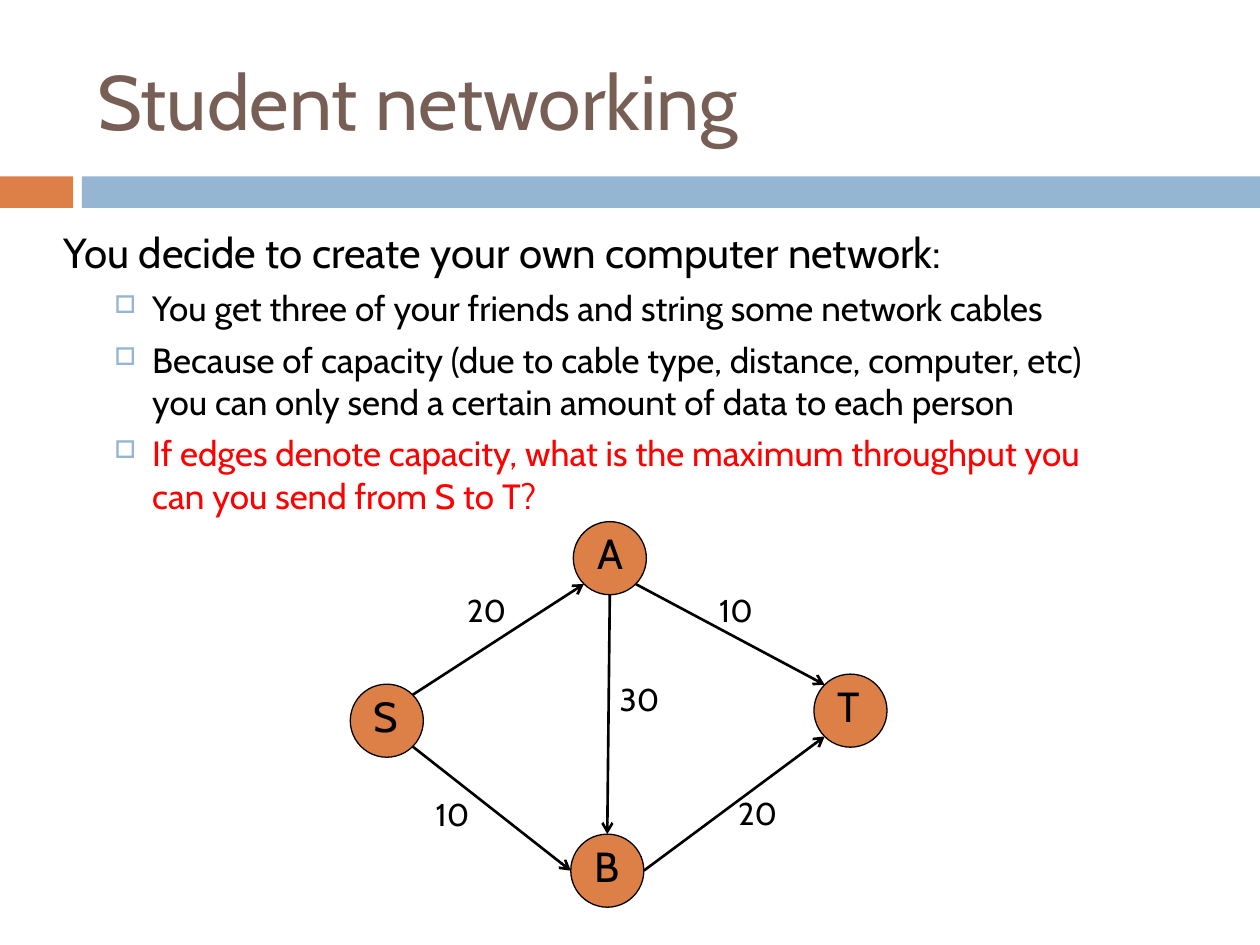
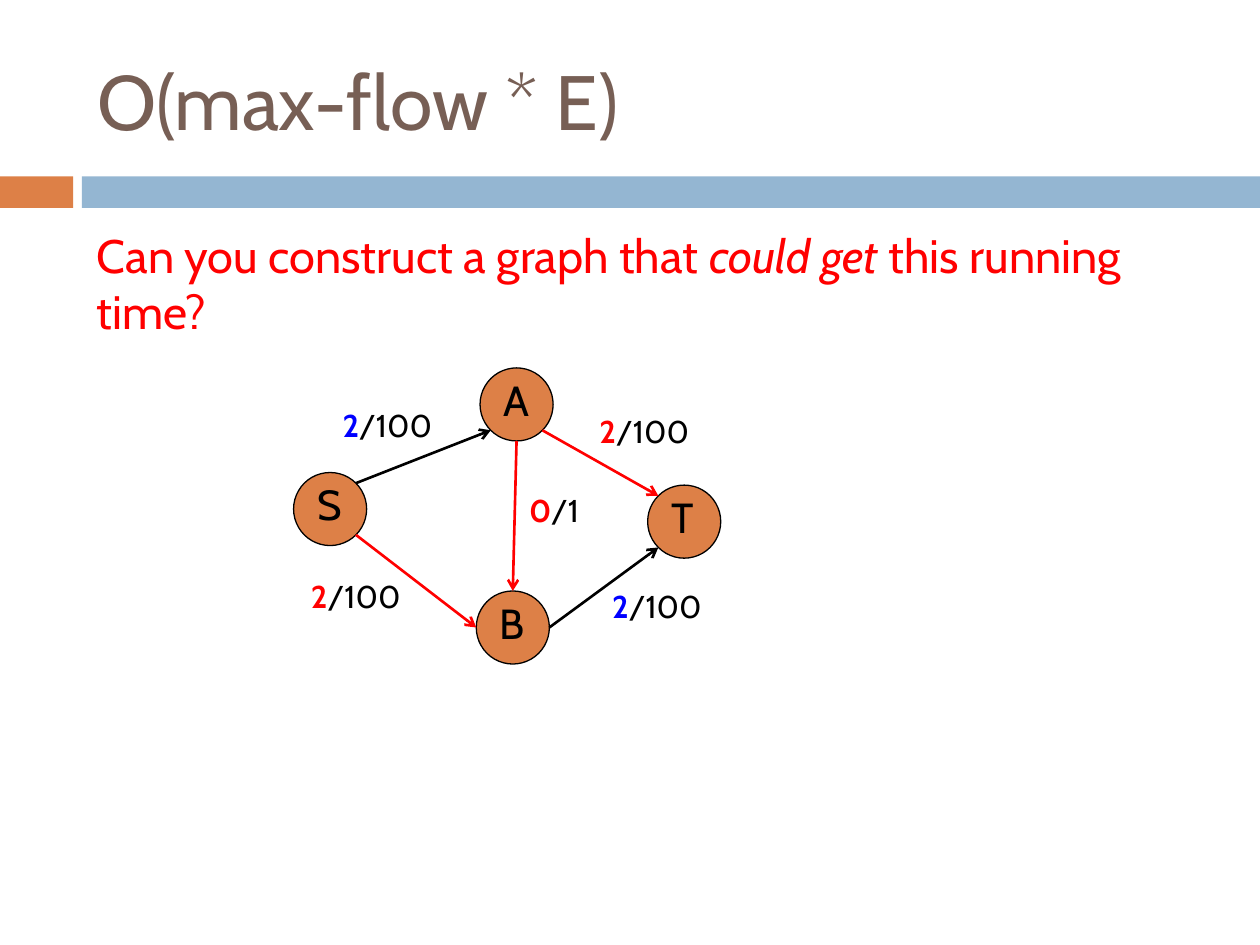
"""Build two slides on maximum flow in a small network."""
from dataclasses import dataclass
from enum import Enum
from math import sqrt

from lxml.etree import SubElement
from pptx import Presentation
from pptx.dml.color import RGBColor
from pptx.enum.shapes import MSO_CONNECTOR, MSO_SHAPE
from pptx.enum.text import MSO_ANCHOR, MSO_AUTO_SIZE, PP_ALIGN
from pptx.oxml.ns import qn
from pptx.util import Inches, Pt

FONT = "Cabin"
ORANGE = RGBColor(0xDD, 0x80, 0x47)
SKY = RGBColor(0x94, 0xB6, 0xD2)
BROWN = RGBColor(0x77, 0x5F, 0x55)
BLACK = RGBColor(0, 0, 0)
RED = RGBColor(0xFF, 0, 0)
BLUE = RGBColor(0, 0, 0xFF)
DIAMETER = 0.58
DIAGONAL = 1 / sqrt(2)


class Side(Enum):
    """Points on a node's rim, as directions from its centre."""
    TOP = (0, -1)
    BOTTOM = (0, 1)
    LEFT = (-1, 0)
    RIGHT = (1, 0)
    TOP_LEFT = (-DIAGONAL, -DIAGONAL)
    TOP_RIGHT = (DIAGONAL, -DIAGONAL)
    BOTTOM_LEFT = (-DIAGONAL, DIAGONAL)
    BOTTOM_RIGHT = (DIAGONAL, DIAGONAL)


@dataclass(frozen=True)
class Span:
    """A stretch of text in one style."""
    text: str
    color: RGBColor = BLACK
    bold: bool = False
    italic: bool = False


@dataclass(frozen=True)
class Node:
    """A named circle, placed by its top left corner."""
    name: str
    left: float
    top: float

    def rim(self, side: Side) -> tuple[float, float]:
        """Return the point on the rim in the given direction."""
        radius = DIAMETER / 2
        across, down = side.value
        return self.left + radius * (1 + across), self.top + radius * (1 + down)


@dataclass(frozen=True)
class EdgeLabel:
    """The capacity, with any flow, written beside an edge."""
    left: float
    top: float
    width: float
    spans: tuple[Span, ...]
    edge_color: RGBColor = BLACK


EDGE_ROUTES = (
    ("S", Side.TOP_RIGHT, "A", Side.BOTTOM_LEFT),
    ("S", Side.BOTTOM_RIGHT, "B", Side.LEFT),
    ("B", Side.RIGHT, "T", Side.BOTTOM_LEFT),
    ("A", Side.BOTTOM, "B", Side.TOP),
    ("A", Side.BOTTOM_RIGHT, "T", Side.TOP_LEFT),
)


def write_spans(para, spans: tuple[Span, ...], size: float) -> None:
    """Write styled spans into a paragraph."""
    for span in spans:
        run = para.add_run()
        run.text = span.text
        run.font.name = FONT
        run.font.size = Pt(size)
        run.font.color.rgb = span.color
        run.font.bold = span.bold
        run.font.italic = span.italic


def add_text(shapes, left: float, top: float, width: float, height: float,
             spans: tuple[Span, ...], size: float, grow: bool = True):
    """Add a wrapping text box and return its text frame."""
    box = shapes.add_textbox(Inches(left), Inches(top), Inches(width), Inches(height))
    frame = box.text_frame
    frame.word_wrap = True
    frame.auto_size = MSO_AUTO_SIZE.SHAPE_TO_FIT_TEXT if grow else MSO_AUTO_SIZE.NONE
    write_spans(frame.paragraphs[0], spans, size)
    return frame


def add_filled(shapes, kind: MSO_SHAPE, left: float, top: float,
               width: float, height: float, color: RGBColor):
    """Add a flat filled shape without an outline."""
    shape = shapes.add_shape(kind, Inches(left), Inches(top), Inches(width), Inches(height))
    shape.shadow.inherit = False
    shape.fill.solid()
    shape.fill.fore_color.rgb = color
    shape.line.fill.background()
    return shape


def add_page(deck, title: str):
    """Add a slide with the shared title style and bands."""
    page = deck.slides.add_slide(deck.slide_layouts[5])
    for left, width, color in ((0, 0.58, ORANGE), (0.65, 9.35, SKY)):
        add_filled(page.shapes, MSO_SHAPE.RECTANGLE, left, 1.4, width, 0.25, color)
    holder = page.shapes.title
    holder.left, holder.top = Inches(0.67), Inches(0.25)
    holder.width, holder.height = Inches(8.92), Inches(1.08)
    frame = holder.text_frame
    frame.vertical_anchor = MSO_ANCHOR.MIDDLE
    frame.paragraphs[0].alignment = PP_ALIGN.LEFT
    write_spans(frame.paragraphs[0], (Span(title, BROWN),), 44)
    return page


def add_bullet(frame, span: Span) -> None:
    """Append a second-level paragraph with a square bullet."""
    para = frame.add_paragraph()
    para.level = 1
    para.space_before = Pt(5.5)
    write_spans(para, (span,), 20)
    properties = para._p.get_or_add_pPr()
    properties.set("marL", str(Inches(0.7)))
    properties.set("indent", str(Inches(-0.3)))
    color = SubElement(properties, qn("a:buClr"))
    SubElement(color, qn("a:srgbClr"), val=str(SKY))
    SubElement(properties, qn("a:buSzPct"), val="70000")
    SubElement(properties, qn("a:buChar"), char="□")


def add_node(page, node: Node) -> None:
    """Group a circle with its letter."""
    group = page.shapes.add_group_shape()
    circle = add_filled(group.shapes, MSO_SHAPE.OVAL, node.left, node.top,
                        DIAMETER, DIAMETER, ORANGE)
    circle.line.color.rgb = BLACK
    circle.line.width = Pt(0.75)
    add_text(group.shapes, node.left + 0.09, node.top, 0.5, 0.5, (Span(node.name),), 24)


def add_arrow(page, start: tuple[float, float], end: tuple[float, float],
              color: RGBColor) -> None:
    """Draw a straight arrow between two points."""
    arrow = page.shapes.add_connector(
        MSO_CONNECTOR.STRAIGHT, *(Inches(value) for value in start + end))
    arrow.line.color.rgb = color
    arrow.line.width = Pt(1.5)
    SubElement(arrow.line._get_or_add_ln(), qn("a:tailEnd"), type="arrow")
    SubElement(arrow._element.spPr, qn("a:effectLst"))


def add_network(page, nodes: tuple[Node, ...], labels: tuple[EdgeLabel, ...]) -> None:
    """Draw nodes, edges and labels, the labels in the order of the routes."""
    by_name = {node.name: node for node in nodes}
    for node in nodes:
        add_node(page, node)
    for (source, leave, target, enter), label in zip(EDGE_ROUTES, labels):
        add_arrow(page, by_name[source].rim(leave), by_name[target].rim(enter),
                  label.edge_color)
    for label in labels:
        add_text(page.shapes, label.left, label.top, label.width, 0.4, label.spans, 18)


def capacity(left: float, top: float, amount: str) -> EdgeLabel:
    """Label an edge with its capacity only."""
    return EdgeLabel(left, top, 0.75, (Span(amount),))


def flow(left: float, top: float, width: float, used: str, limit: str,
         color: RGBColor, edge_color: RGBColor) -> EdgeLabel:
    """Label an edge with its flow and capacity."""
    return EdgeLabel(left, top, width,
                     (Span(used, color, bold=True), Span(f"/{limit}")), edge_color)


def build_student_networking(deck) -> None:
    """Build the slide that poses the throughput question."""
    page = add_page(deck, "Student networking")
    frame = add_text(page.shapes, 0.41, 1.75, 8.53, 2.57,
                     (Span("You decide to create your own computer network:"),), 24, False)
    frame.paragraphs[0].space_before = Pt(7)
    for span in (
        Span("You get three of your friends and string some network cables"),
        Span("Because of capacity (due to cable type, distance, computer, etc) "
             "you can only send a certain amount of data to each person"),
        Span("If edges denote capacity, what is the maximum throughput you "
             "can you send from S to T?", RED),
    ):
        add_bullet(frame, span)
    nodes = (Node("S", 2.78, 5.43), Node("A", 4.55, 4.14),
             Node("B", 4.53, 6.62), Node("T", 6.46, 5.35))
    labels = (capacity(3.61, 4.64, "20"), capacity(3.36, 6.26, "10"),
              capacity(5.76, 6.25, "20"), capacity(4.82, 5.35, "30"),
              capacity(5.61, 4.64, "10"))
    add_network(page, nodes, labels)


def build_running_time(deck) -> None:
    """Build the slide with the worst-case graph."""
    page = add_page(deck, "O(max-flow * E)")
    question = (Span("Can you construct a graph that ", RED),
                Span("could get", RED, italic=True), Span(" this running time?", RED))
    frame = add_text(page.shapes, 0.67, 1.75, 8.92, 0.7, question, 26.8, False)
    frame.paragraphs[0].space_before = Pt(7)
    nodes = (Node("S", 2.33, 3.75), Node("A", 3.81, 2.92),
             Node("B", 3.78, 4.69), Node("T", 5.14, 3.85))
    labels = (flow(2.62, 3.17, 1.01, "2", "100", BLUE, BLACK),
              flow(2.37, 4.53, 1.16, "2", "100", RED, RED),
              flow(4.76, 4.61, 1.09, "2", "100", BLUE, BLACK),
              flow(4.1, 3.85, 0.75, "0", "1", RED, RED),
              flow(4.66, 3.22, 1.07, "2", "100", RED, RED))
    add_network(page, nodes, labels)


def main() -> None:
    """Build and save the deck."""
    deck = Presentation()
    deck.slide_width, deck.slide_height = Inches(10), Inches(7.5)
    build_student_networking(deck)
    build_running_time(deck)
    deck.save("out.pptx")


if __name__ == "__main__":
    main()
